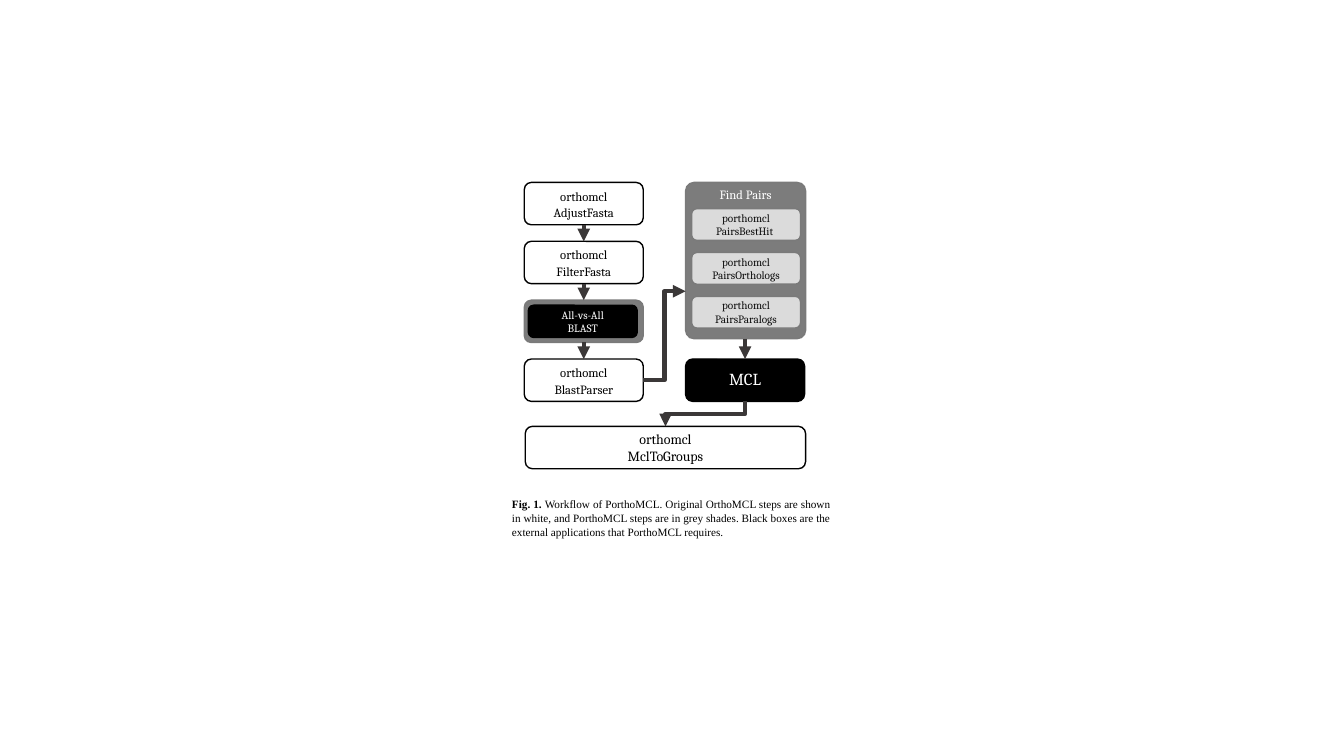
from dataclasses import dataclass

from lxml.etree import SubElement
from pptx import Presentation
from pptx.dml.color import RGBColor
from pptx.enum.shapes import MSO_CONNECTOR as Link, MSO_SHAPE as Preset
from pptx.enum.text import MSO_ANCHOR as Anchor, PP_ALIGN as Align
from pptx.oxml.ns import qn
from pptx.util import Inches, Pt


@dataclass(frozen=True)
class Theme:
    """Colours, fonts and type sizes of the workflow figure."""
    white: str = "FFFFFF"
    black: str = "000000"
    ink: str = "0D0D0D"
    panel: str = "7C7C7C"
    rim: str = "7A7A7A"
    pale: str = "DBDBDB"
    arrow: str = "3B3838"
    step_font: str = "Cambria"
    caption_font: str = "Times New Roman"
    small: int = 8
    body: int = 9
    wide: int = 10
    large: int = 12


@dataclass(frozen=True)
class Grid:
    """Columns and rows that the workflow boxes sit on, in inches."""
    left: float = 5.2
    top: float = 1.81
    column_pitch: float = 1.6
    row_pitch: float = 0.584
    width: float = 1.18
    height: float = 0.42

    def x(self, column):
        """Return the left edge of a column."""
        return self.left + column * self.column_pitch

    def y(self, row):
        """Return the top edge of a row."""
        return self.top + row * self.row_pitch

    def middle(self, column):
        """Return the horizontal centre of a column."""
        return self.x(column) + self.width / 2

    def cell(self, column, row):
        """Return left, top, width and height of a step."""
        return self.x(column), self.y(row), self.width, self.height


THEME = Theme()
GRID = Grid()
WHITE = (THEME.white, THEME.black, THEME.black)
BLACK = (THEME.black, THEME.black, THEME.white)
PALE = (THEME.pale, THEME.rim, THEME.ink)
PANEL = (THEME.panel, THEME.rim, THEME.white)


def set_font(font, name, size, color):
    """Apply typeface, size and colour to a font."""
    font.name, font.size = name, Pt(size)
    font.color.rgb = RGBColor.from_string(color)


def add_step(page, area, text, style, size=THEME.body, spacing=12, anchor=Anchor.MIDDLE):
    """Draw a rounded box with centred text."""
    fill, line, ink = style
    box = page.shapes.add_shape(Preset.ROUNDED_RECTANGLE, *map(Inches, area))
    box.shadow.inherit = False
    box.fill.solid()
    box.fill.fore_color.rgb = RGBColor.from_string(fill)
    box.line.color.rgb = RGBColor.from_string(line)
    box.line.width = Pt(1)
    frame = box.text_frame
    frame.margin_left = frame.margin_top = frame.margin_right = frame.margin_bottom = 0
    frame.vertical_anchor = anchor
    frame.text = text
    for para in frame.paragraphs:
        para.alignment = Align.CENTER
        if spacing:
            para.line_spacing = Pt(spacing)
        set_font(para.font, THEME.step_font, size, ink)
    return box


def add_arrow(page, start, end, kind=Link.STRAIGHT):
    """Draw a thick connector with a triangular head."""
    arrow = page.shapes.add_connector(kind, *map(Inches, (*start, *end)))
    arrow.line.color.rgb = RGBColor.from_string(THEME.arrow)
    arrow.line.width = Pt(3)
    SubElement(arrow.line._get_or_add_ln(), qn("a:tailEnd"), type="triangle")
    SubElement(arrow._element.spPr, qn("a:effectLst"))
    return arrow


def add_drop_arrow(page, start, end):
    """Draw an elbow that leaves downwards, runs left and ends downwards."""
    (x1, y1), (x2, y2) = start, end
    across, down = (x1 - x2) / 2, (y2 - y1) / 2
    x, y = (x1 + x2) / 2, (y1 + y2) / 2
    arrow = add_arrow(page, (x - down, y - across), (x + down, y + across), Link.ELBOW)
    arrow._element.spPr.find(qn("a:xfrm")).set("rot", "5400000")


def add_caption(page, area, label, text):
    """Write the justified figure caption with a bold label."""
    box = page.shapes.add_textbox(*map(Inches, area))
    box.text_frame.word_wrap = True
    para = box.text_frame.paragraphs[0]
    para.alignment = Align.JUSTIFY
    para.line_spacing, para.space_before, para.space_after = Pt(10), Pt(14.5), Pt(18)
    set_font(para.font, THEME.caption_font, THEME.small, THEME.black)
    for words, bold in ((label, True), (text, False)):
        span = para.add_run()
        span.text, span.font.bold = words, bold


def add_find_pairs(page, height):
    """Draw the Find Pairs panel with its three inner steps."""
    panel = add_step(page, (GRID.x(1), GRID.top, 1.19, height), "Find Pairs", PANEL,
                     anchor=Anchor.TOP)
    panel.adjustments[0] = 0.07
    panel.text_frame.margin_bottom = Inches(0.05)
    for index, name in enumerate(("PairsBestHit\u00a0", "PairsOrthologs", "PairsParalogs")):
        area = GRID.x(1) + 0.06, 2.07 + index * 0.435, 1.08, 0.315
        add_step(page, area, f"porthomcl\v{name}", PALE, THEME.small, None)


def main():
    """Build the workflow slide and save it."""
    deck = Presentation()
    deck.slide_width, deck.slide_height = Inches(13.33), Inches(7.5)
    page = deck.slides.add_slide(deck.slide_layouts[6])
    panel_height, groups_top = 1.55, 4.23

    add_find_pairs(page, panel_height)
    for row, text in ((0, "orthomcl\vAdjustFasta"), (1, "orthomcl\vFilterFasta"),
                      (3, "orthomcl\nBlastParser")):
        add_step(page, GRID.cell(0, row), text, WHITE)
    add_step(page, GRID.cell(0, 2), "", PANEL)
    add_step(page, GRID.cell(1, 3), "MCL", BLACK, THEME.large)
    add_step(page, (GRID.left + 0.01, groups_top, 2.78, GRID.height),
             "orthomcl\nMclToGroups", WHITE, THEME.wide)
    add_caption(page, (4.98, 4.88, 3.36, 0.81), "Fig. 1. ",
                "Workflow of PorthoMCL. Original OrthoMCL steps are shown in white, and "
                "PorthoMCL steps are in grey shades. Black boxes are the external "
                "applications that PorthoMCL requires.")

    for row in range(3):
        add_arrow(page, (GRID.middle(0), GRID.y(row) + GRID.height),
                  (GRID.middle(0), GRID.y(row + 1)))
    add_arrow(page, (GRID.x(0) + GRID.width, GRID.y(3) + GRID.height / 2),
              (GRID.x(1), 2.89), Link.ELBOW)
    add_step(page, (GRID.left + 0.04, GRID.y(2) + 0.05, 1.08, 0.32),
             "All-vs-All\vBLAST", BLACK, THEME.small, None)
    add_arrow(page, (GRID.middle(1), GRID.top + panel_height), (GRID.middle(1), GRID.y(3)))
    add_drop_arrow(page, (GRID.middle(1), GRID.y(3) + GRID.height), (6.6, groups_top))
    deck.save("out.pptx")


main()
